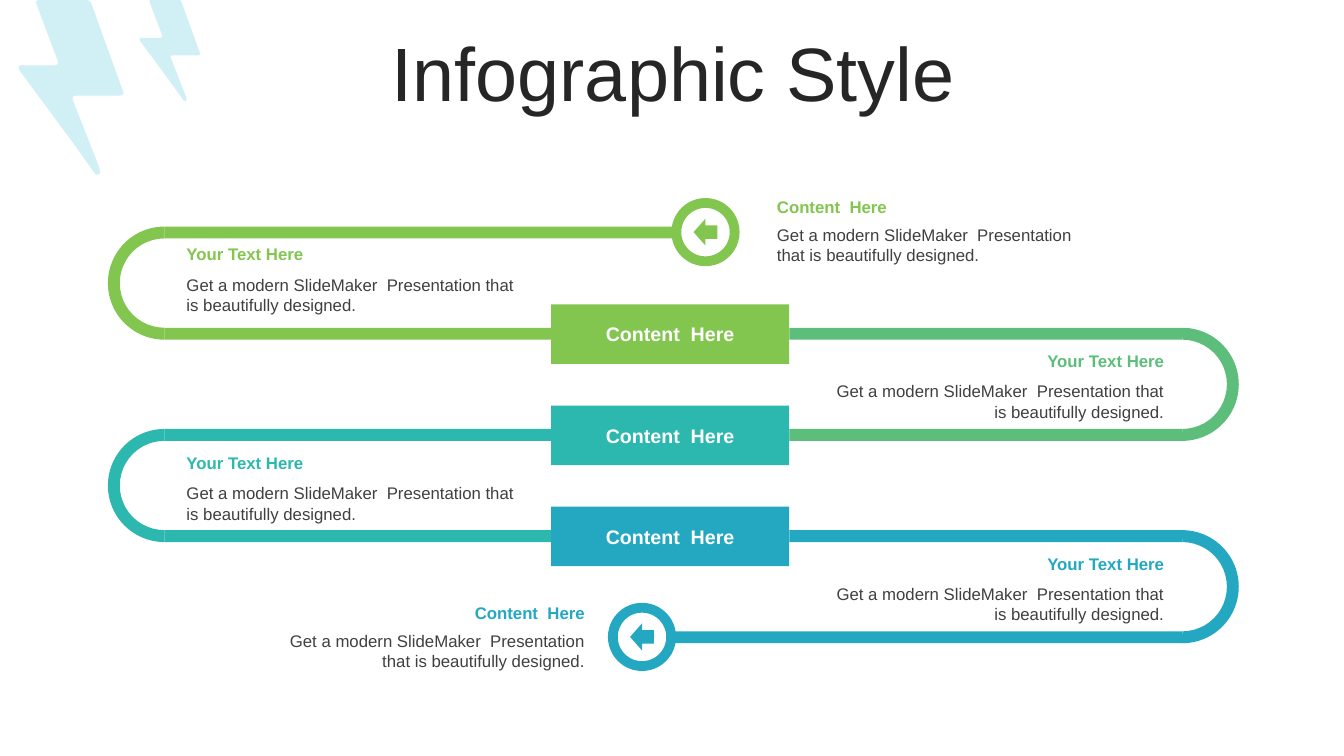
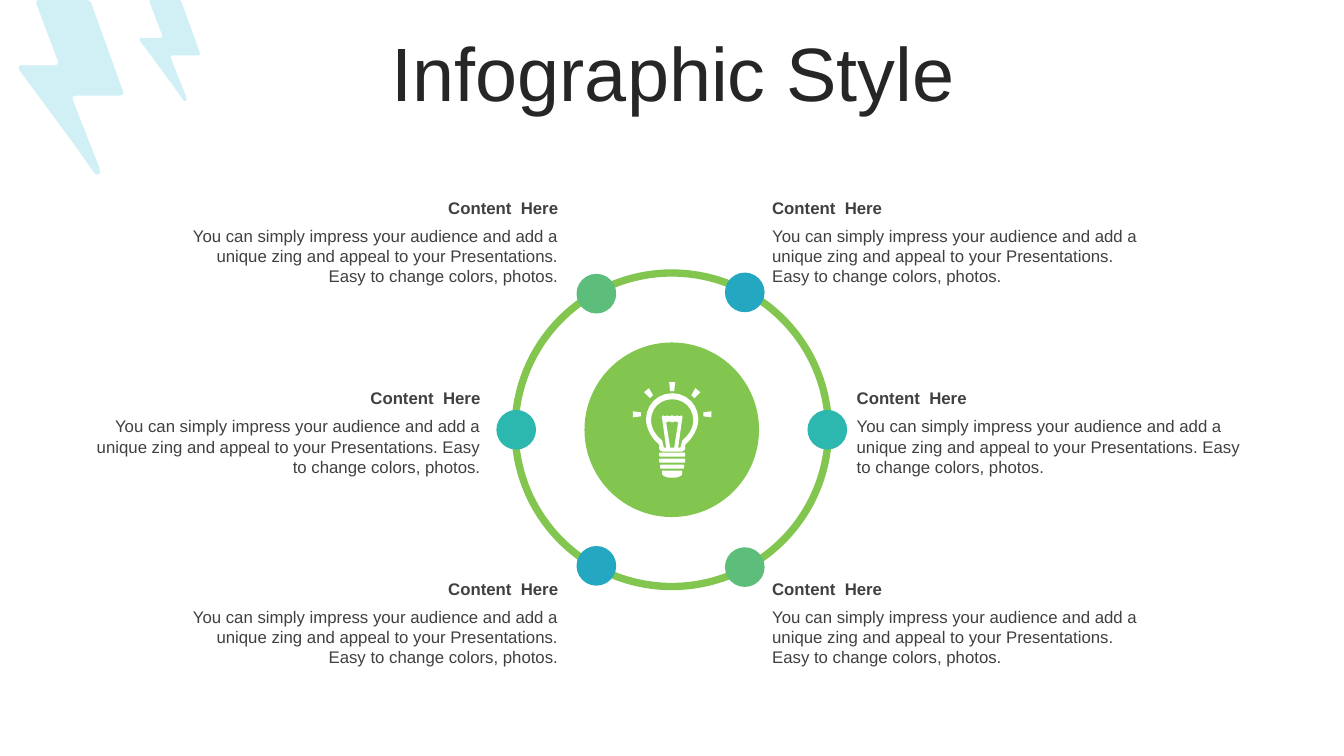
import math

import pptx
import pptx.dml.color
import pptx.enum.shapes
import pptx.enum.text
import pptx.util

Cm = pptx.util.Cm
Pt = pptx.util.Pt
RGBColor = pptx.dml.color.RGBColor
MSO_SHAPE = pptx.enum.shapes.MSO_SHAPE
MSO_ANCHOR = pptx.enum.text.MSO_ANCHOR
MSO_AUTO_SIZE = pptx.enum.text.MSO_AUTO_SIZE
PP_ALIGN = pptx.enum.text.PP_ALIGN

LIME = RGBColor(0x82, 0xC6, 0x50)
GREEN = RGBColor(0x5C, 0xBE, 0x7A)
TEAL = RGBColor(0x2C, 0xB8, 0xAE)
BLUE = RGBColor(0x24, 0xA8, 0xC2)
PALE_BLUE = RGBColor(0xD0, 0xF0, 0xF6)
WHITE = RGBColor(0xFF, 0xFF, 0xFF)
INK = RGBColor(0x26, 0x26, 0x26)
GREY = RGBColor(0x40, 0x40, 0x40)

FONT = "Arial"
TITLE_ONLY = 5
TITLE = "Infographic Style"
CONTENT = "Content  Here"
LOOP_HEADING = "Your Text Here"
DESIGN_TEXT = "Get a modern SlideMaker  Presentation that is beautifully designed."
AUDIENCE_TEXT = (
    "You can simply impress your audience and add a unique zing and appeal "
    "to your Presentations. Easy to change colors, photos."
)

BOLT_HEIGHT = 173
BOLT = [
    (66, 0), (69, 0, 71, 1, 72, 4), (103, 90), (105, 93, 103, 95, 99, 95),
    (59, 95), (53, 95, 52, 96, 54, 101), (80, 167), (80, 169),
    (81, 171, 81, 172, 79, 173), (77, 174, 76, 173, 75, 172), (53, 141),
    (2, 72), (1, 70, -1, 69, 0, 66), (2, 64, 4, 65, 5, 65), (34, 65),
    (39, 65, 40, 63, 38, 59), (18, 6), (16, 1, 17, 0, 22, 0),
]

BULB_WIDTH, BULB_HEIGHT = 78, 95
GLASS_OUTER = [
    (39, 11), (54, 11, 65, 23, 65, 37), (65, 47, 58, 57, 53, 61),
    (51, 63, 52, 64, 52, 66), (51, 68, 50, 69, 48, 69), (39, 69),
]
GLASS_INNER = [
    (39, 17), (51, 17, 60, 26, 60, 38), (60, 46, 55, 53, 50, 57),
    (48, 59, 49, 59, 48, 62), (47, 65, 48, 65, 46, 65), (45, 65),
    (49, 36), (50, 35, 49, 34, 48, 33), (46, 34), (44, 33), (42, 34), (39, 33),
]
FILAMENT = [(39, 40), (42, 39), (45, 40), (41, 65)]
CAP = [(39, 88), (49, 88), (49, 91), (49, 93, 45, 95, 39, 95)]
TOP_RAY = [(39, 0), (42, 0), (41, 9), (39, 9)]
SIDE_RAYS = [
    [(0, 29), (8, 30), (8, 34), (0, 35)],
    [(16, 6), (20, 13), (17, 16), (11, 10)],
]


def trace(path, steps=6):
    points = []
    for step in path:
        if len(step) == 2:
            points.append(step)
            continue
        nodes = [points[-1], step[:2], step[2:4], step[4:]]
        for k in range(1, steps + 1):
            t = k / steps
            weights = ((1 - t) ** 3, 3 * t * (1 - t) ** 2, 3 * t * t * (1 - t), t ** 3)
            points.append(tuple(
                sum(w * node[axis] for w, node in zip(weights, nodes)) for axis in (0, 1)
            ))
    return points


def mirror(points):
    return [(BULB_WIDTH - x, y) for x, y in reversed(points)]


def bulb_contours():
    threads = [
        [(39, y), (edge - 1, y), (edge, y, edge, y + 1, edge, y + 2),
         (edge, y + 4, edge - 1, y + 4, edge - 1, y + 4), (39, y + 4)]
        for y, edge in ((70, 52), (76, 52), (82, 51))
    ]
    contours = []
    for half in [GLASS_OUTER, GLASS_INNER, FILAMENT, CAP, TOP_RAY, *threads]:
        right = trace(half)
        contours.append(right + mirror(right))
    for ray in SIDE_RAYS:
        contours += [ray, mirror(ray)]
    return contours


def write(frame, text, size=12, color=GREY, bold=False, align=PP_ALIGN.LEFT,
          anchor=MSO_ANCHOR.TOP, line_spacing=None, space_before=None):
    frame.word_wrap = True
    frame.vertical_anchor = anchor
    paragraph = frame.paragraphs[0]
    paragraph.alignment = align
    paragraph.line_spacing = line_spacing
    paragraph.space_before = space_before
    run = paragraph.add_run()
    run.text = text
    run.font.name = FONT
    run.font.size = Pt(size)
    run.font.bold = bold
    run.font.color.rgb = color


class Deck:
    def __init__(self):
        self.presentation = pptx.Presentation()
        self.presentation.slide_width = Cm(33.87)
        self.presentation.slide_height = Cm(19.05)
        self.layout = self.presentation.slide_layouts[TITLE_ONLY]
        self.slide = None

    def add_slide(self, title):
        self.slide = self.presentation.slides.add_slide(self.layout)
        heading = self.slide.shapes.title
        heading.left, heading.top = Cm(0.89), Cm(0.94)
        heading.width, heading.height = Cm(32.16), Cm(2)
        heading.text_frame.auto_size = MSO_AUTO_SIZE.NONE
        write(heading.text_frame, title, size=54, color=INK, align=PP_ALIGN.CENTER,
              anchor=MSO_ANCHOR.MIDDLE, line_spacing=0.9, space_before=Pt(10))

    def share(self, shape):
        self.layout.shapes.element.append(shape.element)

    def shape(self, kind, left, top, width, height, fill=None, line=None, weight=0):
        shape = self.slide.shapes.add_shape(kind, Cm(left), Cm(top), Cm(width), Cm(height))
        return self.paint(shape, fill, line, weight)

    def paint(self, shape, fill=None, line=None, weight=0):
        shape.shadow.inherit = False
        if fill is None:
            shape.fill.background()
        else:
            shape.fill.solid()
            shape.fill.fore_color.rgb = fill
        if line is None:
            shape.line.fill.background()
        else:
            shape.line.color.rgb = line
            shape.line.width = Pt(weight)
        return shape

    def circle(self, x, y, diameter, **look):
        corner = diameter / 2
        return self.shape(MSO_SHAPE.OVAL, x - corner, y - corner, diameter, diameter, **look)

    def outline(self, contours, left, top, height, grid_height, fill):
        unit = Cm(height) / grid_height
        builder = None
        for contour in contours:
            points = [(Cm(left) + x * unit, Cm(top) + y * unit) for x, y in contour]
            if builder is None:
                builder = self.slide.shapes.build_freeform(*points[0])
            else:
                builder.move_to(*points[0])
            builder.add_line_segments(points[1:], close=True)
        return self.paint(builder.convert_to_shape(), fill)

    def text(self, text, left, top, width, height, inset=0.25, **style):
        box = self.slide.shapes.add_textbox(Cm(left), Cm(top), Cm(width), Cm(height))
        box.text_frame.margin_left = Cm(inset)
        box.text_frame.auto_size = MSO_AUTO_SIZE.SHAPE_TO_FIT_TEXT
        write(box.text_frame, text, **style)

    def caption(self, heading, body, left, top, width, height=1.28, gap=0.71,
                color=GREY, align=PP_ALIGN.LEFT, inset=0.25):
        self.text(heading, left, top, width, 0.77, inset, color=color, bold=True, align=align)
        self.text(body, left, top + gap, width, height, inset, align=align)

    def loop(self, top, pitch, color, opens_right, upper_end, lower_end):
        thickness, size = 0.3, pitch + 0.3
        arc_left = 2.72 if opens_right else 28.37
        arc = self.shape(MSO_SHAPE.BLOCK_ARC, arc_left, top, size, size, fill=color)
        arc.adjustments[0], arc.adjustments[1] = (54, 162) if opens_right else (162, 54)
        arc.adjustments[2] = thickness / size
        middle = arc_left + size / 2
        for y, end in ((top, upper_end), (top + pitch, lower_end)):
            self.shape(MSO_SHAPE.RECTANGLE, min(middle, end), y,
                       abs(end - middle), thickness, fill=color)

    def arrow_badge(self, x, y, color):
        self.circle(x, y, 1.47, line=color, weight=7)
        self.shape(MSO_SHAPE.LEFT_ARROW, x - 0.3, y - 0.34, 0.6, 0.68, fill=color)


def winding_path(deck):
    deck.add_slide(TITLE)
    first_top, pitch = 5.71, 2.55
    box_left, box_width = 13.89, 6
    box_right = box_left + box_width
    loops = [
        (LIME, True, 17, box_left, 6.02),
        (GREEN, False, box_right, box_right, 8.71),
        (TEAL, True, box_left, box_left, 11.28),
        (BLUE, False, box_right, 16.87, 13.82),
    ]
    for i, (color, opens_right, upper_end, lower_end, text_top) in enumerate(loops):
        deck.loop(first_top + i * pitch, pitch, color, opens_right, upper_end, lower_end)
        deck.caption(LOOP_HEADING, DESIGN_TEXT, 4.45 if opens_right else 20.47, text_top,
                     9.12, gap=0.77, color=color,
                     align=PP_ALIGN.LEFT if opens_right else PP_ALIGN.RIGHT)
    for i, color in enumerate((LIME, TEAL, BLUE)):
        stage = deck.shape(MSO_SHAPE.RECTANGLE, box_left, 7.67 + i * pitch,
                           box_width, 1.5, fill=color)
        write(stage.text_frame, CONTENT, size=14, color=WHITE, bold=True,
              align=PP_ALIGN.CENTER, anchor=MSO_ANCHOR.MIDDLE)
    deck.arrow_badge(17.78, 5.85, LIME)
    deck.arrow_badge(16.18, 16.05, BLUE)
    deck.caption(CONTENT, DESIGN_TEXT, 19.33, 4.83, 8.2, color=LIME)
    deck.caption(CONTENT, DESIGN_TEXT, 6.81, 15.06, 8.18, color=BLUE, align=PP_ALIGN.RIGHT)


def idea_wheel(deck):
    deck.add_slide(TITLE)
    x, y, radius = 16.93, 10.83, 3.92
    deck.circle(x, y, 4.4, fill=LIME)
    deck.circle(x, y, 7.9, line=LIME, weight=5.25)
    spokes = [
        (-62, BLUE, 19.46, 0), (0, TEAL, 21.59, 1), (62, GREEN, 19.46, 2),
        (-119, GREEN, 4.67, 0), (180, TEAL, 2.26, 1), (119, BLUE, 4.67, 2),
    ]
    for degrees, color, text_left, row in spokes:
        angle = math.radians(degrees)
        deck.circle(x + radius * math.cos(angle), y + radius * math.sin(angle), 1, fill=color)
        deck.caption(CONTENT, AUDIENCE_TEXT, text_left, 4.85 + 4.8 * row,
                     10.1 if row == 1 else 9.65, height=1.8, inset=0,
                     align=PP_ALIGN.LEFT if text_left > x else PP_ALIGN.RIGHT)
    deck.outline(bulb_contours(), 15.95, 9.63, 2.41, BULB_HEIGHT, WHITE)


def main():
    deck = Deck()
    winding_path(deck)
    for left, height in ((0.48, 4.39), (3.52, 2.54)):
        deck.share(deck.outline([trace(BOLT)], left, 0, height, BOLT_HEIGHT, PALE_BLUE))
    idea_wheel(deck)
    deck.presentation.save("out.pptx")


if __name__ == "__main__":
    main()
